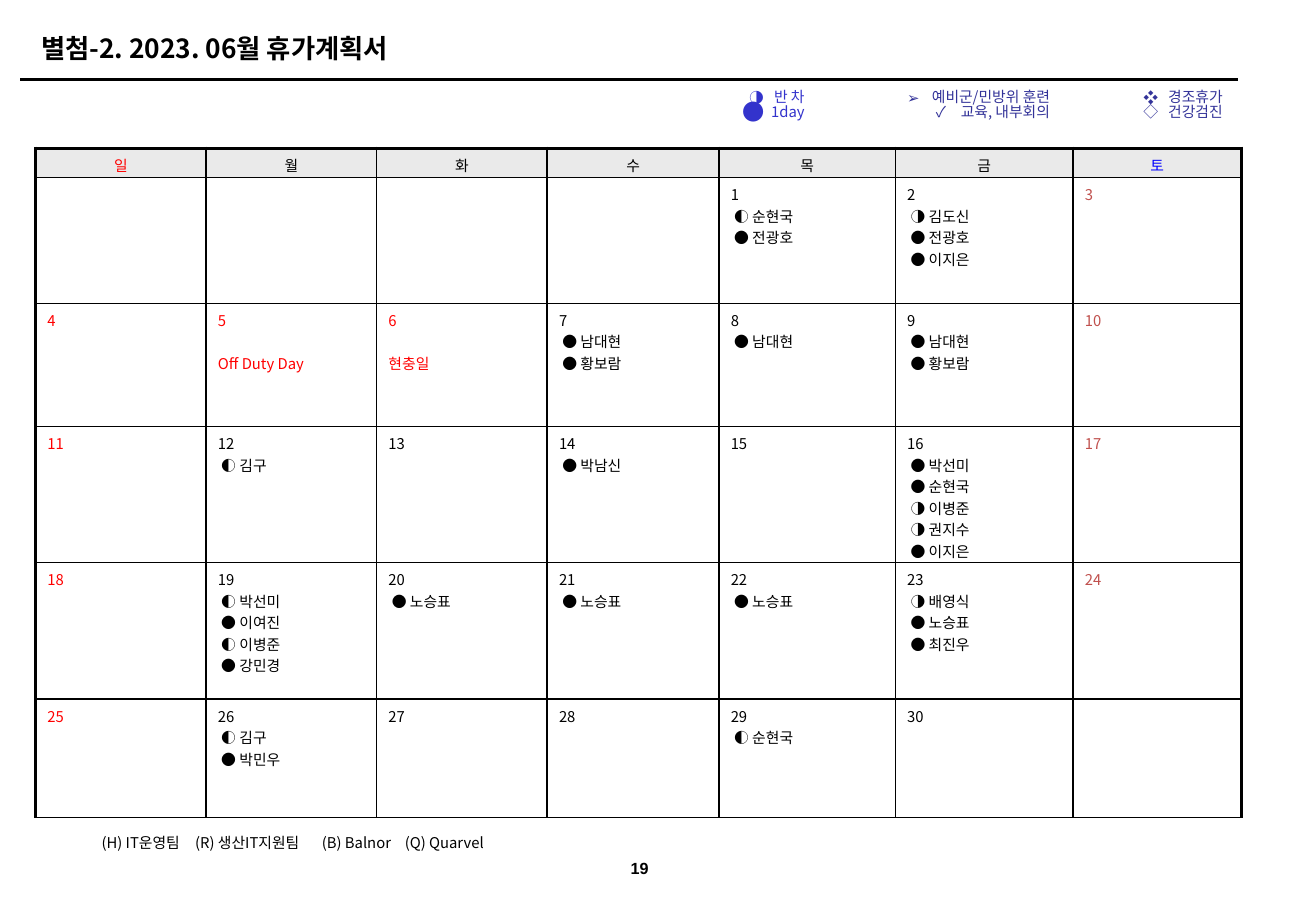
from lxml.etree import SubElement
from pptx import Presentation
from pptx.dml.color import RGBColor
from pptx.enum.shapes import MSO_CONNECTOR
from pptx.enum.text import MSO_ANCHOR, MSO_AUTO_SIZE, PP_ALIGN
from pptx.oxml.ns import qn
from pptx.util import Inches, Pt

KOREAN = "Noto Sans CJK KR"
BLACK, RED, BLUE, SATURDAY = "000000", "FF0000", "0000FF", "C0504D"
HEADER_FILL, WHITE = "EAEAEA", "FFFFFF"
WEEKDAYS = "일월화수목금토"
COLUMN_WIDTHS = [1.44, 1.44, 1.44, 1.45, 1.49, 1.5, 1.42]
ROW_HEIGHTS = [0.25, 1.06, 1.04, 1.15, 1.15, 1]
FIRST_COLUMN = 4
LAST_DAY = 30
HOLIDAYS = {5: "Off Duty Day", 6: "현충일"}
LEAVE = {
    1: ["◐ 순현국", "● 전광호"],
    2: ["◑ 김도신", "● 전광호", "● 이지은"],
    7: ["● 남대현", "● 황보람"],
    8: ["● 남대현"],
    9: ["● 남대현", "● 황보람"],
    12: ["◐ 김구"],
    14: ["● 박남신"],
    16: ["● 박선미", "● 순현국", "◑ 이병준", "◑ 권지수", "● 이지은"],
    19: ["◐ 박선미", "● 이여진", "◐ 이병준", "● 강민경"],
    20: ["● 노승표"],
    21: ["● 노승표"],
    22: ["● 노승표"],
    23: ["◑ 배영식", "● 노승표", "● 최진우"],
    26: ["◐ 김구", "● 박민우"],
    29: ["◐ 순현국"],
}
LEGENDS = [
    (6.17, 0.72, 0.72, "3333CC", [("◑", "반 차", 100), ("●", " 1day", 150)]),
    (7.41, 0.72, 1.58, "333399", [("➢", "예비군/민방위 훈련 ", 100), ("✓", "교육, 내부회의 ", 100)]),
    (8.59, 0.72, 1.83, "333399", [("❖", "경조휴가", 100), ("◇", "건강검진", 100)]),
]
TEAMS = ["(H) IT운영팀", "(R) 생산IT지원팀", "(B) Balnor", "(Q) Quarvel"]
TEAM_TABS = [0.79, 1.86, 2.56]


def color(value):
    return RGBColor.from_string(value)


def style(para, value, size=9, bold=False, name=KOREAN):
    font = para.font
    font.size = Pt(size)
    font.bold = bold
    font.name = name
    font.color.rgb = color(value)
    SubElement(font._element, qn("a:ea"), typeface=name)


def add_lines(frame, lines):
    paras = [frame.paragraphs[0]] + [frame.add_paragraph() for _ in lines[1:]]
    for para, line in zip(paras, lines):
        para.text = line
    return paras


def add_box(page, left, top, width, height, lines, wrap=True):
    box = page.shapes.add_textbox(Inches(left), Inches(top), Inches(width), Inches(height))
    box.text_frame.word_wrap = wrap
    return box.text_frame, add_lines(box.text_frame, lines)


def add_title(page):
    title = page.shapes.title
    title.left, title.top = Inches(0.25), Inches(0.22)
    title.width, title.height = Inches(9.9), Inches(0.37)
    frame = title.text_frame
    frame.auto_size = MSO_AUTO_SIZE.NONE
    frame.vertical_anchor = MSO_ANCHOR.MIDDLE
    para = add_lines(frame, ["별첨-2. 2023. 06월 휴가계획서"])[0]
    para.alignment = PP_ALIGN.LEFT
    style(para, BLACK, 16, True)


def add_rule(page):
    rule = page.shapes.add_connector(
        MSO_CONNECTOR.STRAIGHT, Inches(0.17), Inches(0.67), Inches(10.45), Inches(0.67))
    rule.line.color.rgb = color(BLACK)
    rule.line.width = Pt(1.5)
    SubElement(rule._element.spPr, qn("a:effectLst"))


def set_bullet(para, symbol, value, percent):
    properties = para._p.get_or_add_pPr()
    properties.set("marL", str(Inches(0.21)))
    properties.set("indent", str(-Inches(0.21)))
    fill = SubElement(properties, qn("a:buClr"))
    SubElement(fill, qn("a:srgbClr"), val=value)
    SubElement(properties, qn("a:buSzPct"), val=str(percent * 1000))
    SubElement(properties, qn("a:buFont"), typeface=KOREAN)
    SubElement(properties, qn("a:buChar"), char=symbol)


def add_legend(page, left, top, width, value, items):
    paras = add_box(page, left, top, width, 0.4, [text for _, text, _ in items])[1]
    for para, (symbol, _, percent) in zip(paras, items):
        set_bullet(para, symbol, value, percent)
        para.alignment = PP_ALIGN.RIGHT
        para.line_spacing = 0.81
        style(para, value)


def set_borders(cell, column, row):
    thick = {
        "a:lnL": column == 0,
        "a:lnR": column == len(COLUMN_WIDTHS) - 1,
        "a:lnT": row == 0,
        "a:lnB": False,
    }
    properties = cell._tc.get_or_add_tcPr()
    for index, (side, outer) in enumerate(thick.items()):
        line = properties.makeelement(qn(side), {"w": str(Pt(2 if outer else 1))})
        fill = SubElement(line, qn("a:solidFill"))
        SubElement(fill, qn("a:srgbClr"), val=BLACK)
        properties.insert(index, line)


def fill_header(cell, column):
    cell.vertical_anchor = MSO_ANCHOR.MIDDLE
    para = add_lines(cell.text_frame, [WEEKDAYS[column]])[0]
    para.alignment = PP_ALIGN.CENTER
    style(para, {0: RED, 6: BLUE}.get(column, BLACK))


def fill_day(cell, column, day):
    value = RED if day in HOLIDAYS else {0: RED, 6: SATURDAY}.get(column, BLACK)
    lines = [str(day)] + [f" {entry}" for entry in LEAVE.get(day, [])]
    if day in HOLIDAYS:
        lines.append(HOLIDAYS[day])
    paras = add_lines(cell.text_frame, lines)
    if day in HOLIDAYS:
        paras[-1].space_before = Pt(13)
    for para in paras:
        style(para, value)


def add_calendar(page):
    table = page.shapes.add_table(
        len(ROW_HEIGHTS), len(COLUMN_WIDTHS), Inches(0.3), Inches(1.25),
        Inches(sum(COLUMN_WIDTHS)), Inches(sum(ROW_HEIGHTS))).table
    table.first_row = table.horz_banding = False
    for column, width in zip(table.columns, COLUMN_WIDTHS):
        column.width = Inches(width)
    for row, height in zip(table.rows, ROW_HEIGHTS):
        row.height = Inches(height)
    for index, cell in enumerate(table.iter_cells()):
        row, column = divmod(index, len(COLUMN_WIDTHS))
        cell.margin_left = cell.margin_right = Inches(0.1)
        cell.margin_top, cell.margin_bottom = Inches(0.05), Inches(0.01)
        cell.fill.solid()
        cell.fill.fore_color.rgb = color(WHITE if row else HEADER_FILL)
        set_borders(cell, column, row)
        day = (row - 1) * len(COLUMN_WIDTHS) + column - FIRST_COLUMN + 1
        if row == 0:
            fill_header(cell, column)
        elif 1 <= day <= LAST_DAY:
            fill_day(cell, column, day)


def add_teams(page):
    frame, paras = add_box(page, 0.76, 7, 3.6, 0.24, ["\t".join(TEAMS)])
    frame.vertical_anchor = MSO_ANCHOR.MIDDLE
    tabs = SubElement(paras[0]._p.get_or_add_pPr(), qn("a:tabLst"))
    for position in TEAM_TABS:
        SubElement(tabs, qn("a:tab"), pos=str(Inches(position)), algn="l")
    paras[0].line_spacing = 0.95
    style(paras[0], BLACK)


def add_page_number(page):
    frame, paras = add_box(page, 5.13, 7.17, 0.54, 0.31, ["19"], wrap=False)
    frame.vertical_anchor = MSO_ANCHOR.MIDDLE
    paras[0].alignment = PP_ALIGN.CENTER
    style(paras[0], BLACK, 9.8, True, "Arial")


def main():
    """Build the June 2023 leave plan slide."""
    deck = Presentation()
    deck.slide_width, deck.slide_height = Inches(11.11), Inches(7.57)
    page = deck.slides.add_slide(deck.slide_layouts[5])
    add_rule(page)
    add_page_number(page)
    add_calendar(page)
    add_title(page)
    for legend in LEGENDS:
        add_legend(page, *legend)
    add_teams(page)
    deck.save("out.pptx")


if __name__ == "__main__":
    main()
